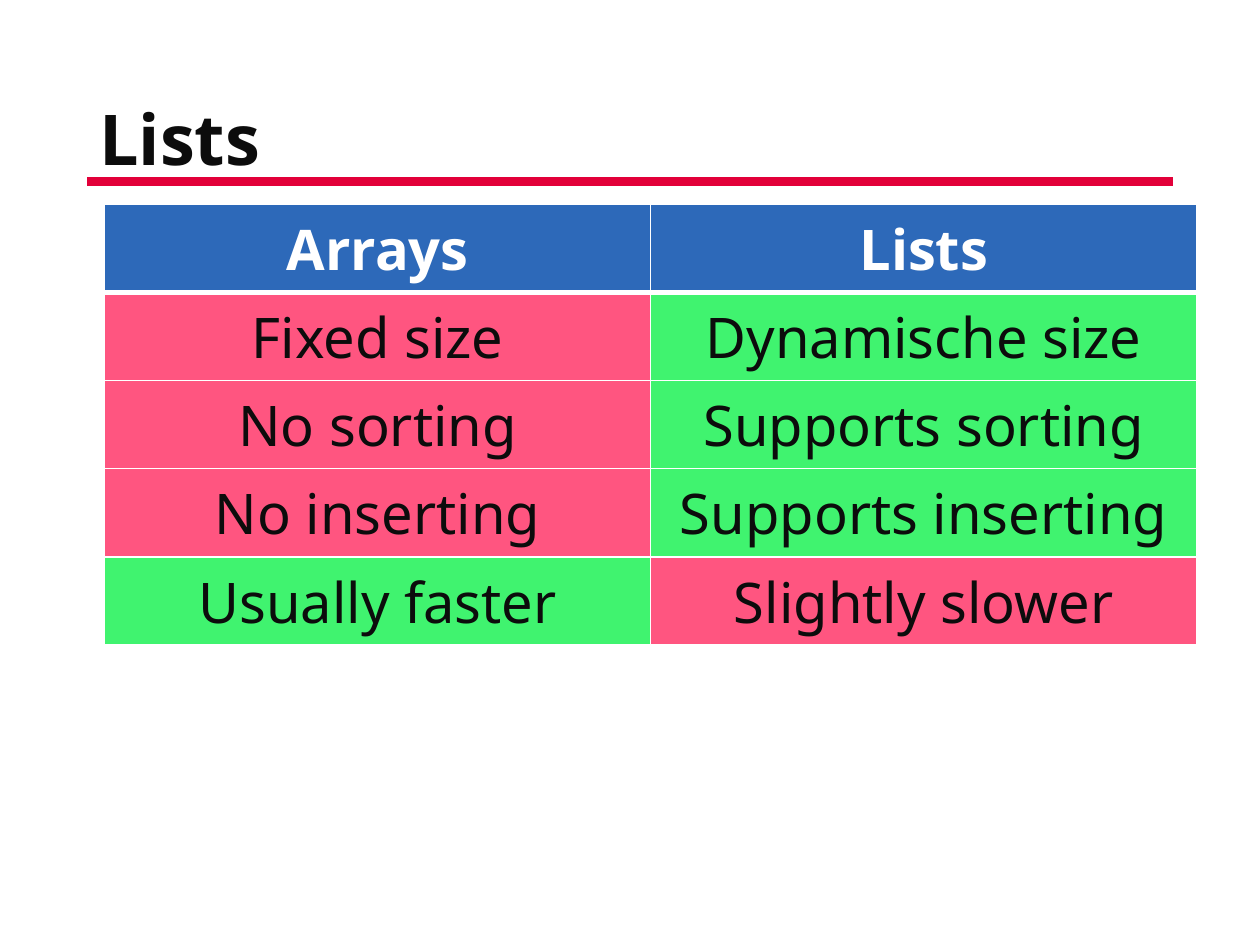
from lxml import etree
from pptx import Presentation
from pptx import util as u
from pptx.dml.color import RGBColor
from pptx.enum import text
from pptx.oxml import parse_xml
from pptx.oxml.ns import nsdecls, qn

FONT = "Noto Sans"
INK, WHITE, RED, BLUE = "0C0C0C", "FFFFFF", "E20039", "2D69B9"
WEAK, STRONG = "FF5580", "40F36F"

HEADINGS = ("Arrays", "Lists")
COMPARISON = [
    (("Fixed size", WEAK), ("Dynamische size", STRONG)),
    (("No sorting", WEAK), ("Supports sorting", STRONG)),
    (("No inserting", WEAK), ("Supports inserting", STRONG)),
    (("Usually faster", STRONG), ("Slightly slower", WEAK)),
]


def color(value):
    return RGBColor.from_string(value)


def add_span(para, words, size, ink, bold=False):
    span = para.add_run()
    span.text = words
    span.font.name = FONT
    span.font.size = u.Pt(size)
    span.font.bold = bold
    span.font.color.rgb = color(ink)


def underline_fill(box):
    """Fill the box with white down to a sharp red band along its bottom."""
    stops = "".join(
        f'<a:gs pos="{percent * 1000}"><a:srgbClr val="{value}"/></a:gs>'
        for percent, value in ((0, WHITE), (93, WHITE), (93, RED), (100, RED))
    )
    gradient = parse_xml(
        f'<a:gradFill {nsdecls("a")} rotWithShape="1"><a:gsLst>{stops}</a:gsLst>'
        '<a:lin ang="5400000" scaled="0"/></a:gradFill>'
    )
    box.fill.background()
    properties = box._element.spPr
    properties.replace(properties.find(qn("a:noFill")), gradient)


def add_title(page, words):
    box = page.shapes.add_textbox(
        u.Inches(0.69), u.Inches(0.4), u.Inches(8.62), u.Inches(1.08)
    )
    underline_fill(box)
    frame = box.text_frame
    frame.word_wrap = True
    frame.vertical_anchor = text.MSO_ANCHOR.BOTTOM
    para = frame.paragraphs[0]
    para.line_spacing = 0.9
    add_span(para, words, 40, INK, bold=True)


def set_borders(cell, bottom):
    properties = cell._tc.get_or_add_tcPr()
    widths = {"lnL": 1, "lnR": 1, "lnT": 1, "lnB": bottom}
    for index, (side, width) in enumerate(widths.items()):
        line = etree.Element(qn(f"a:{side}"), w=str(u.Pt(width)))
        fill = etree.SubElement(line, qn("a:solidFill"))
        etree.SubElement(fill, qn("a:srgbClr"), val=WHITE)
        properties.insert(index, line)


def fill_cell(cell, words, background, heading):
    cell.fill.solid()
    cell.fill.fore_color.rgb = color(background)
    para = cell.text_frame.paragraphs[0]
    para.alignment = text.PP_ALIGN.CENTER
    add_span(para, words, 32, WHITE if heading else INK, bold=heading)
    set_borders(cell, bottom=3 if heading else 1)


def add_comparison(page):
    rows = [[(words, BLUE) for words in HEADINGS], *COMPARISON]
    table = page.shapes.add_table(
        len(rows), len(HEADINGS),
        u.Inches(0.83), u.Inches(1.62), u.Inches(8.67), u.Inches(0.7 * len(rows)),
    ).table
    for row_index, row in enumerate(rows):
        for column_index, (words, background) in enumerate(row):
            cell = table.cell(row_index, column_index)
            fill_cell(cell, words, background, heading=row_index == 0)


def main():
    deck = Presentation()
    deck.slide_width, deck.slide_height = u.Inches(10), u.Inches(7.5)
    page = deck.slides.add_slide(deck.slide_layouts[6])
    add_title(page, "Lists")
    add_comparison(page)
    deck.save("out.pptx")


if __name__ == "__main__":
    main()
